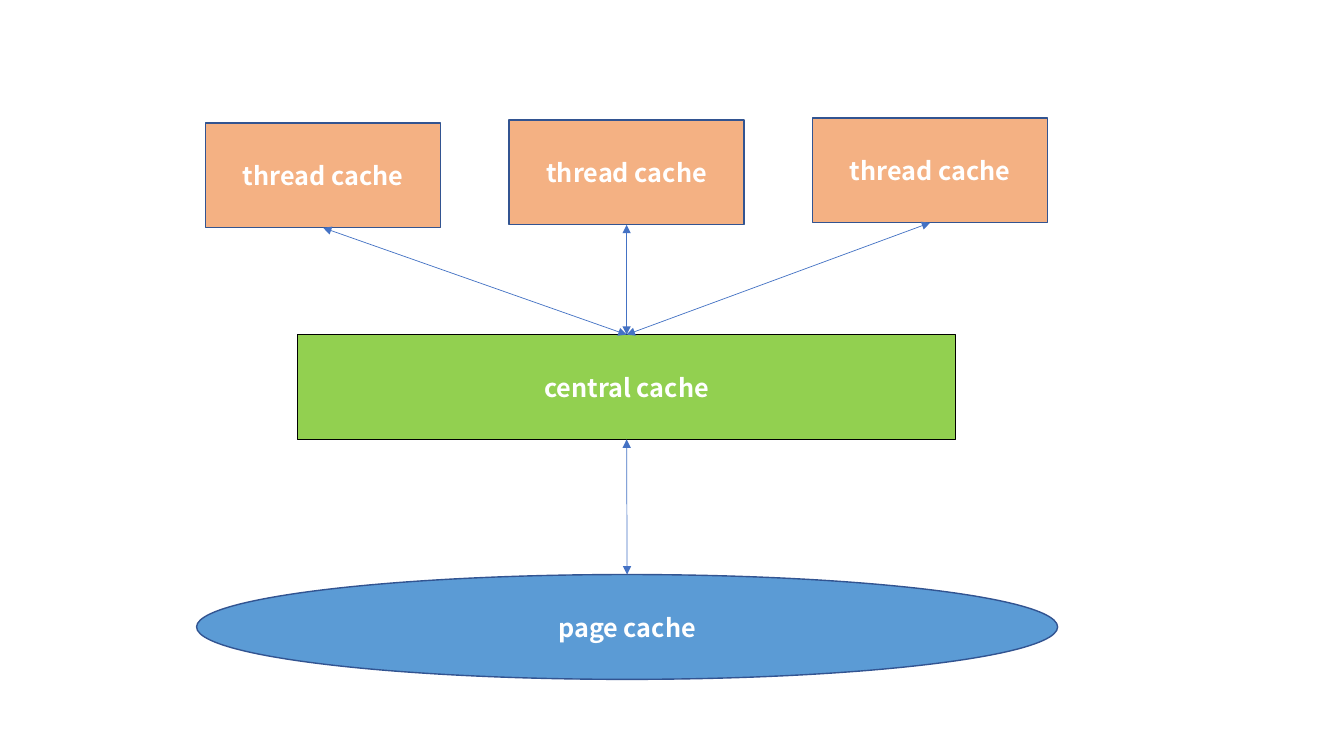
import pptx
import pptx.util
import pptx.dml.color
import pptx.enum.shapes
import pptx.enum.text
import pptx.oxml.ns
import lxml.etree

Inches = pptx.util.Inches
Pt = pptx.util.Pt
SHAPES = pptx.enum.shapes.MSO_SHAPE
TOP, BOTTOM = 0, 2
CACHE_HEIGHT = 1.04


def paint(color_format, color):
    color_format.rgb = pptx.dml.color.RGBColor.from_string(color)


def add_cache(kind, label, left, top, width, fill, outline, weight):
    box = page.shapes.add_shape(
        kind, Inches(left), Inches(top), Inches(width), Inches(CACHE_HEIGHT))
    box.shadow.inherit = False
    box.fill.solid()
    paint(box.fill.fore_color, fill)
    paint(box.line.color, outline)
    box.line.width = Pt(weight)
    box.text_frame.text = label
    box.text_frame.vertical_anchor = pptx.enum.text.MSO_ANCHOR.MIDDLE
    para = box.text_frame.paragraphs[0]
    para.alignment = pptx.enum.text.PP_ALIGN.CENTER
    span = para.runs[0]
    span.font.name = "Noto Sans CJK SC"
    span.font.size = Pt(18)
    span.font.bold = True
    paint(span.font.color, "FFFFFF")
    return box


deck = pptx.Presentation()
deck.slide_width = Inches(13.33)
deck.slide_height = Inches(7.5)
page = deck.slides.add_slide(deck.slide_layouts[6])

central_cache = add_cache(
    SHAPES.RECTANGLE, "central cache", 2.95, 3.32, 6.53, "92D050", "000000", 0.75)
thread_caches = [
    add_cache(SHAPES.RECTANGLE, "thread cache", 2.04 + 3.01 * column, top, 2.33,
              "F4B183", "325491", 1)
    for column, top in enumerate([1.22, 1.19, 1.17])
]
page_cache = add_cache(
    SHAPES.OVAL, "page cache", 1.95, 5.7, 8.54, "5B9BD5", "325491", 1)

links = [(thread_cache, central_cache) for thread_cache in thread_caches]
links.append((central_cache, page_cache))
for upper, lower in links:
    arrow = page.shapes.add_connector(
        pptx.enum.shapes.MSO_CONNECTOR.STRAIGHT, 0, 0, 0, 0)
    arrow.begin_connect(upper, BOTTOM)
    arrow.end_connect(lower, TOP)
    paint(arrow.line.color, "4472C4")
    arrow.line.width = Pt(0.5)
    outline = arrow.line._get_or_add_ln()
    for end in ("a:headEnd", "a:tailEnd"):
        lxml.etree.SubElement(outline, pptx.oxml.ns.qn(end), type="triangle")
    lxml.etree.SubElement(
        arrow._element.spPr, pptx.oxml.ns.qn("a:effectLst"))

deck.save("out.pptx")
